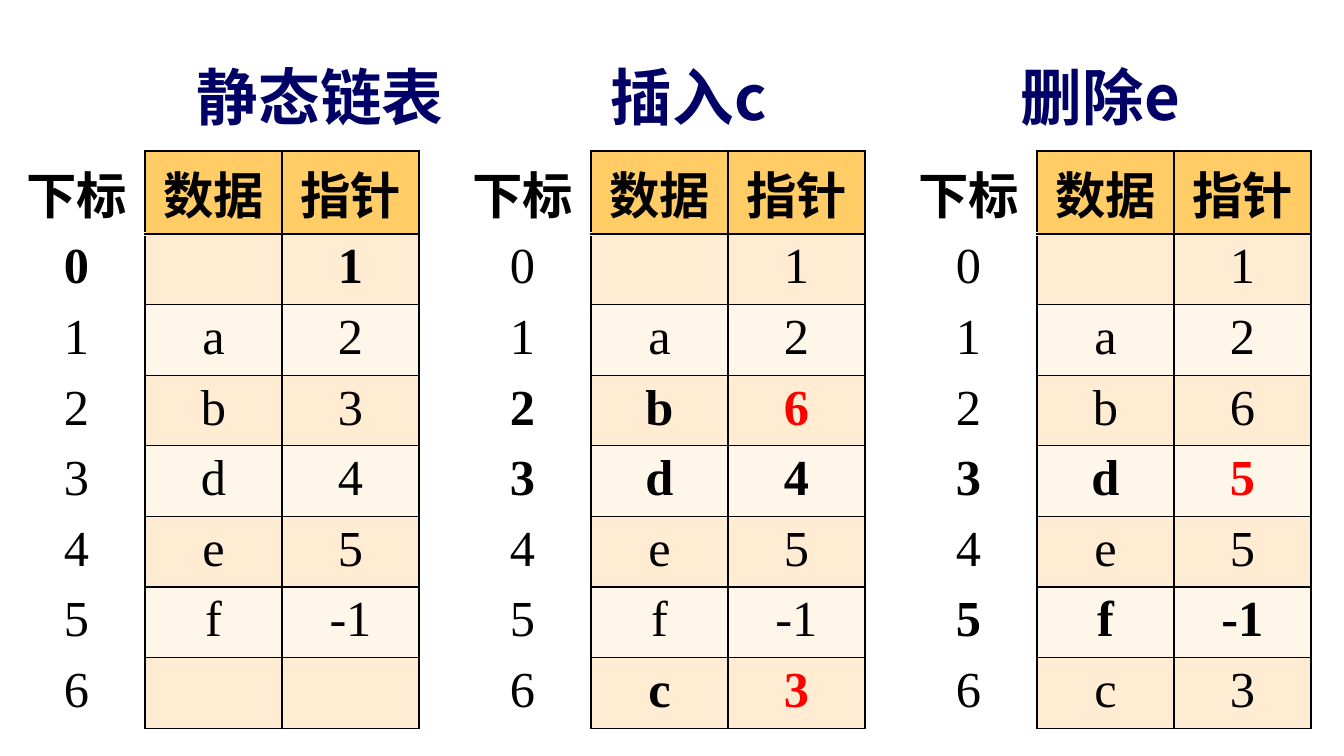
from lxml import etree
from pptx import Presentation
from pptx import util as u
from pptx.dml.color import RGBColor
from pptx.enum import text
from pptx.oxml.ns import qn

PX = 914400 / 100.8  # EMU per px
CJK = "Noto Sans CJK SC"


def write(frame, words, size=36, font="Times New Roman", color="000000",
          bold=False, align=text.PP_ALIGN.CENTER, tabs=()):
    para = frame.paragraphs[0]
    para.alignment = align
    if tabs:
        tab_list = etree.SubElement(para._p.get_or_add_pPr(), qn("a:tabLst"))
        for stop in tabs:
            etree.SubElement(tab_list, qn("a:tab"), pos=str(round(stop * PX)), algn="l")
    if not words:  # keeps the height of an empty cell
        para.font.size = u.Pt(size)
        return
    run = para.add_run()
    run.text = words
    run.font.size, run.font.name, run.font.bold = u.Pt(size), font, bold
    run.font.color.rgb = RGBColor.from_string(color)
    etree.SubElement(run._r.get_or_add_rPr(), qn("a:ea"), typeface=CJK)


def border(cell, side, color, points=1):
    line = etree.SubElement(cell._tc.get_or_add_tcPr(), qn("a:ln" + side),
                            w=str(u.Pt(points)))
    fill = etree.SubElement(line, qn("a:solidFill"))
    etree.SubElement(fill, qn("a:srgbClr"), val=color)


prs = Presentation()
prs.slide_width, prs.slide_height = round(1344 * PX), round(756 * PX)
slide = prs.slides.add_slide(prs.slide_layouts[6])

# Title: one heading over each table, set by tab stops
title = slide.shapes.add_textbox(*(round(n * PX) for n in (33, 58, 1268, 76))).text_frame
title.word_wrap = True
title.vertical_anchor = text.MSO_ANCHOR.MIDDLE
title.margin_left = round(164 * PX)
write(title, "静态链表\t插入c\t删除e", size=44, font=CJK, color="000066", bold=True,
      align=text.PP_ALIGN.LEFT, tabs=(414, 824))

# Each list: data, pointers, bold cells and red cells as (index, column)
lists = [
    (["", "a", "b", "d", "e", "f", ""], ["1", "2", "3", "4", "5", "-1", ""],
     {(0, 0), (0, 2)}, set()),
    (["", "a", "b", "d", "e", "f", "c"], ["1", "2", "6", "4", "5", "-1", "3"],
     {(2, 0), (2, 1), (2, 2), (3, 0), (3, 1), (3, 2), (6, 1), (6, 2)}, {(2, 2), (6, 2)}),
    (["", "a", "b", "d", "e", "f", "c"], ["1", "2", "6", "5", "5", "-1", "3"],
     {(3, 0), (3, 1), (3, 2), (5, 0), (5, 1), (5, 2)}, {(3, 2)}),
]
HEADER, ROW, COLUMN, STEP = 83, 66, 137, 446

# Tables
for number, (data, pointers, bold_cells, red_cells) in enumerate(lists):
    rows = [("下标", "数据", "指针")]
    rows += [(str(i), *pair) for i, pair in enumerate(zip(data, pointers))]
    table = slide.shapes.add_table(
        len(rows), 3, round((8 + STEP * number) * PX), round(151 * PX),
        round(3 * COLUMN * PX), round((HEADER + 7 * ROW) * PX)).table
    table.first_row = table.horz_banding = False
    for column in table.columns:
        column.width = round(COLUMN * PX)

    for r, row in enumerate(rows):
        table.rows[r].height = round((ROW if r else HEADER) * PX)
        for c, words in enumerate(row):
            cell = table.cell(r, c)
            place = (r - 1, c)
            write(cell.text_frame, words, bold=r == 0 or place in bold_cells,
                  color="FF0000" if place in red_cells else "000000")
            # The index column stays open: only its right edge is black
            for side in "LRTB":
                open_side = c == 0 and side != "R"
                border(cell, side, "FFFFFF" if open_side else "000000",
                       3 if open_side and side == "B" and r == 0 else 1)
            if c == 0:
                cell.fill.background()
            else:
                shade = "FFCC66" if r == 0 else "FFECD3" if r % 2 else "FFF6EA"
                cell.fill.solid()
                cell.fill.fore_color.rgb = RGBColor.from_string(shade)

prs.save("out.pptx")
